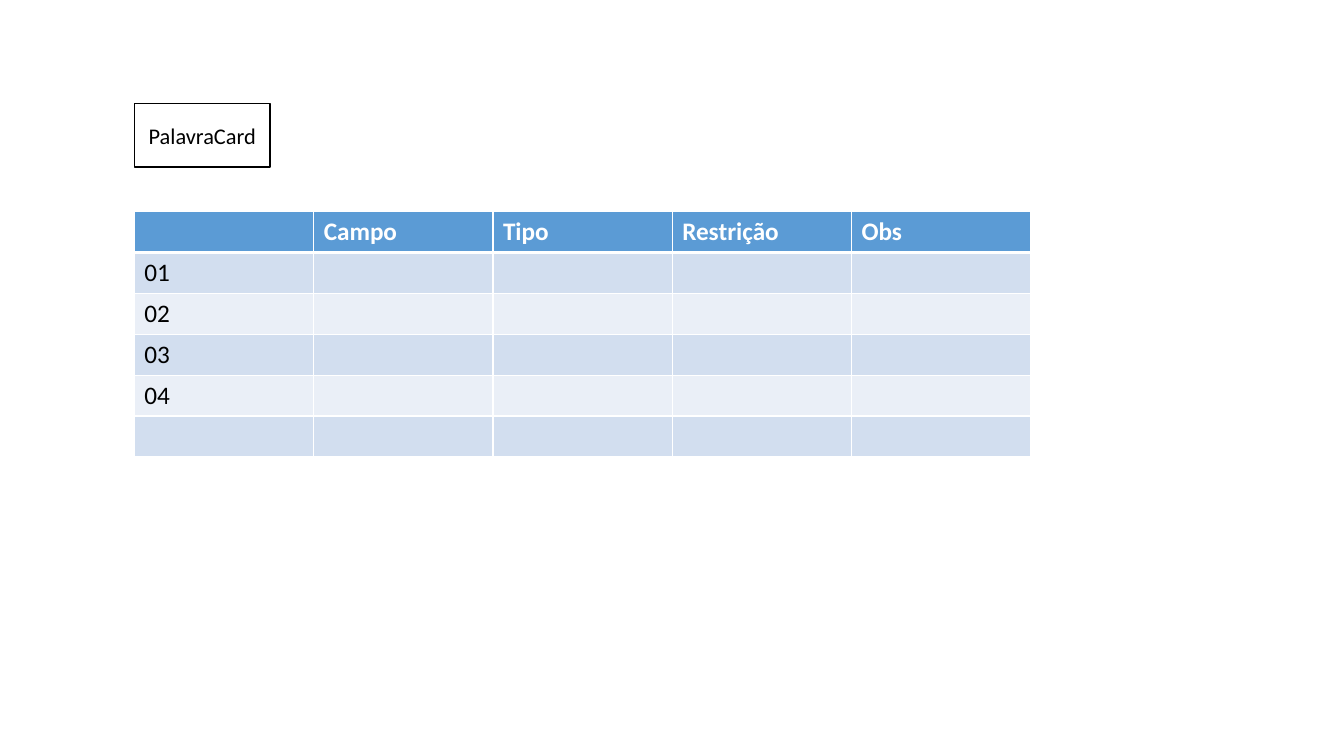
from lxml import etree
from pptx import Presentation, util as u
from pptx.dml.color import RGBColor
from pptx.enum import shapes, text
from pptx.oxml import ns

SLIDE_WIDTH, SLIDE_HEIGHT = u.Inches(13.33), u.Inches(7.5)
LEFT = 0.1  # shared left edge, as a share of the slide's width
FONT = "Calibri"
BLACK, WHITE = "000000", "FFFFFF"
HEADER_FILL = "5B9BD5"
BAND_FILLS = ("D2DEEF", "EAEFF7")
FIELD_ROWS = [
    ["", "Campo", "Tipo", "Restrição", "Obs"],
    ["01"],
    ["02"],
    ["03"],
    ["04"],
    [],
]


def color(value):
    """Turn a hex string into a colour."""
    return RGBColor.from_string(value)


def box(left, top, width, height):
    """Turn shares of the slide's size into lengths."""
    return (int(left * SLIDE_WIDTH), int(top * SLIDE_HEIGHT),
            int(width * SLIDE_WIDTH), int(height * SLIDE_HEIGHT))


def set_font(paragraph, size, hex_color, bold=False):
    """Set the font of a whole paragraph."""
    font = paragraph.font
    font.name, font.size, font.bold = FONT, u.Pt(size), bold
    font.color.rgb = color(hex_color)


def add_entity(slide, name, place):
    """Add an outlined box that holds an entity's name."""
    shape = slide.shapes.add_shape(shapes.MSO_SHAPE.RECTANGLE, *place)
    shape.shadow.inherit = False
    shape.fill.solid()
    shape.fill.fore_color.rgb = color(WHITE)
    shape.line.color.rgb = color(BLACK)
    shape.line.width = u.Pt(1)
    frame = shape.text_frame
    frame.vertical_anchor = text.MSO_ANCHOR.MIDDLE
    paragraph = frame.paragraphs[0]
    paragraph.text = name
    paragraph.alignment = text.PP_ALIGN.CENTER
    set_font(paragraph, 16, BLACK)


def set_borders(cell, top=1, bottom=1):
    """Draw white borders, with widths in points, around a cell."""
    properties = cell._tc.get_or_add_tcPr()
    for side, width in (("L", 1), ("R", 1), ("T", top), ("B", bottom)):
        line = etree.SubElement(properties, ns.qn(f"a:ln{side}"), w=str(u.Pt(width)))
        fill = etree.SubElement(line, ns.qn("a:solidFill"))
        etree.SubElement(fill, ns.qn("a:srgbClr"), val=WHITE)


def add_field_table(slide, rows, place):
    """Add a banded table whose first row is the header."""
    column_count = len(rows[0])
    table = slide.shapes.add_table(len(rows), column_count, *place).table
    for row, labels in enumerate(rows):
        is_header = row == 0
        for column in range(column_count):
            cell = table.cell(row, column)
            set_borders(cell, top=3 if row == 1 else 1, bottom=3 if is_header else 1)
            cell.fill.solid()
            cell.fill.fore_color.rgb = color(
                HEADER_FILL if is_header else BAND_FILLS[(row - 1) % 2])
            paragraph = cell.text_frame.paragraphs[0]
            if column < len(labels):
                paragraph.text = labels[column]
            set_font(paragraph, 18, WHITE if is_header else BLACK, is_header)


def main():
    """Build the slide and save it."""
    presentation = Presentation()
    presentation.slide_width, presentation.slide_height = SLIDE_WIDTH, SLIDE_HEIGHT
    slide = presentation.slides.add_slide(presentation.slide_layouts[6])
    add_entity(slide, "PalavraCard", box(LEFT, 0.137, 0.101, 0.084))
    add_field_table(slide, FIELD_ROWS, box(LEFT, 0.28, 0.667, 0.324))
    presentation.save("out.pptx")


main()
